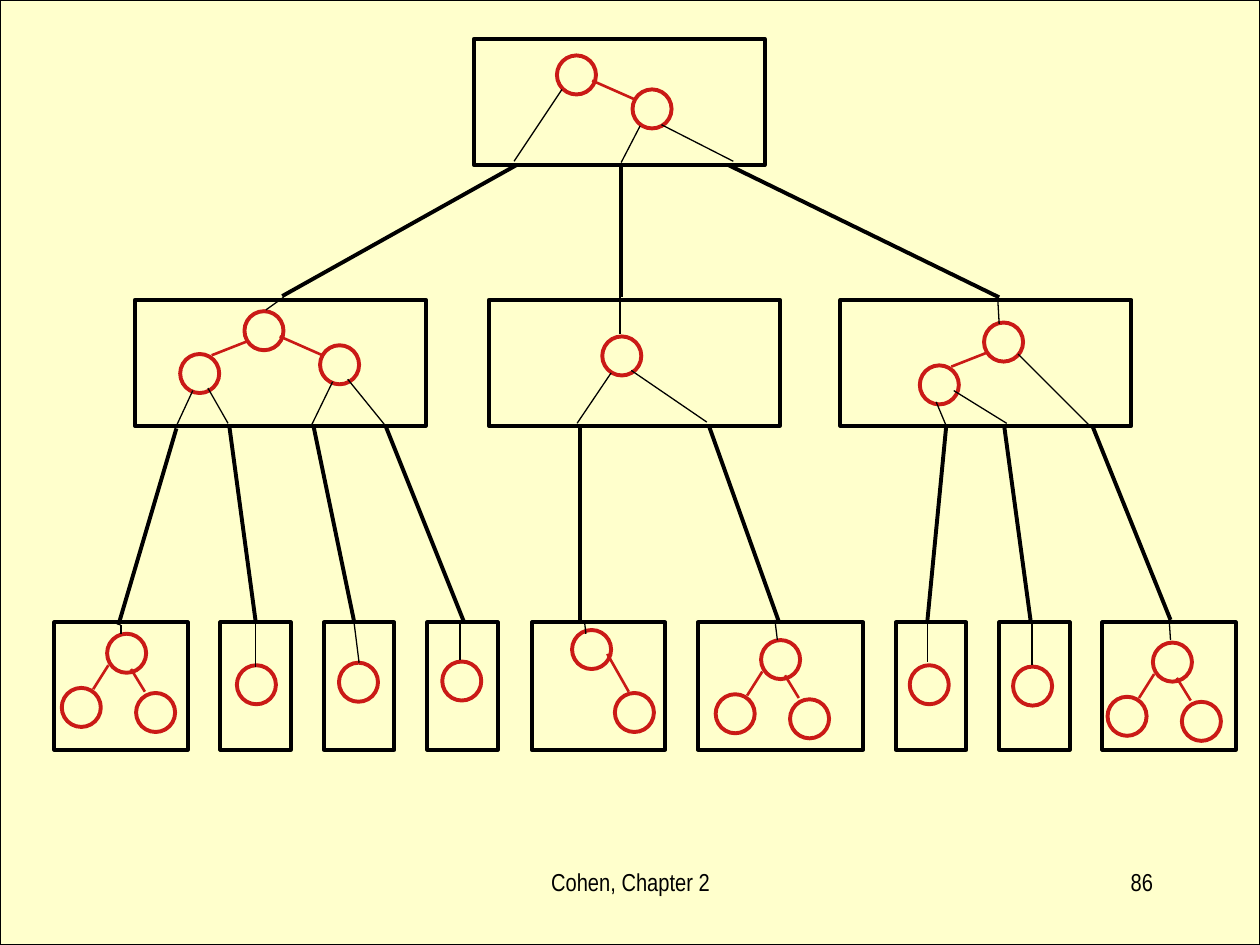
from lxml import etree
from pptx import Presentation
from pptx.dml.color import RGBColor
from pptx.enum.shapes import MSO_CONNECTOR, MSO_SHAPE
from pptx.enum.text import PP_ALIGN
from pptx.oxml.ns import qn
from pptx.util import Inches, Pt

RECT, OVAL = MSO_SHAPE.RECTANGLE, MSO_SHAPE.OVAL
STRAIGHT = MSO_CONNECTOR.STRAIGHT
CENTER, RIGHT = PP_ALIGN.CENTER, PP_ALIGN.RIGHT
BLACK, RED, CREAM = "000000", "CA1A16", "FFFFCC"
SIZE = 0.31

UPPER = [(3.76, 0.31), (1.07, 2.38), (3.88, 2.38), (6.67, 2.38)]
LOWER = [(0.43, 1.06), (1.75, 0.56), (2.57, 0.56), (3.39, 0.56), (4.22, 1.06),
         (5.54, 1.31), (7.11, 0.56), (7.93, 0.56), (8.75, 1.06)]

LINKS = [
    (4.1, 1.31, 2.24, 2.35), (4.93, 1.31, 4.93, 2.36), (5.78, 1.31, 7.93, 2.36),
    (1.4, 3.4, 0.94, 4.96), (1.82, 3.38, 2.03, 4.94), (2.49, 3.39, 2.81, 4.93),
    (3.06, 3.38, 3.68, 4.93), (4.6, 3.39, 4.6, 4.92), (5.63, 3.39, 6.18, 4.93),
    (7.51, 3.38, 7.36, 4.93), (7.97, 3.38, 8.18, 4.93), (8.67, 3.38, 9.29, 4.92),
]

STEMS = [
    (4.46, 0.71, 4.08, 1.28), (5.08, 1, 4.93, 1.29), (5.25, 0.99, 5.82, 1.28),
    (2.11, 2.46, 2.25, 2.36), (1.4, 3.38, 1.53, 3.1), (1.81, 3.36, 1.65, 3.08),
    (2.47, 3.38, 2.64, 3.03), (3.06, 3.38, 2.76, 3.01),
    (4.92, 2.36, 4.92, 2.65), (4.85, 2.96, 4.58, 3.36), (5.01, 2.94, 5.61, 3.35),
    (7.92, 2.39, 7.93, 2.57), (7.43, 3.19, 7.51, 3.38), (7.57, 3.1, 7.99, 3.36),
    (8.08, 2.81, 8.65, 3.38),
    (0.96, 4.96, 0.96, 5.03), (2.03, 4.92, 2.03, 5.29), (2.81, 4.94, 2.85, 5.26),
    (3.65, 4.94, 3.65, 5.24), (4.64, 4.94, 4.65, 5.03), (6.15, 4.92, 6.17, 5.08),
    (7.36, 4.94, 7.36, 5.25), (8.19, 4.93, 8.19, 5.28), (9.28, 4.93, 9.29, 5.08),
]

# Each branch: child offset, then edge start and end, all from the root node.
WIDE_L = (-0.51, 0.34, -0.26, 0.35, 0.02, 0.24)
WIDE_R = (0.6, 0.27, 0.28, 0.2, 0.62, 0.35)
NEAR_L = (-0.36, 0.43, -0.11, 0.44, 0.01, 0.25)
NEAR_R = (0.23, 0.47, 0.19, 0.28, 0.3, 0.46)
STEEP = (0.34, 0.5, 0.28, 0.19, 0.45, 0.49)

TREES = [
    (4.42, 0.44, [WIDE_R]), (1.94, 2.47, [WIDE_L, WIDE_R]),
    (4.78, 2.67, []), (7.81, 2.56, [WIDE_L]),
    (0.85, 5.03, [NEAR_L, NEAR_R]), (1.88, 5.28, []), (2.69, 5.26, []),
    (3.51, 5.25, []), (4.54, 5, [STEEP]), (6.04, 5.08, [NEAR_L, NEAR_R]),
    (7.22, 5.28, []), (8.04, 5.29, []), (9.15, 5.1, [NEAR_L, NEAR_R]),
]


def color(code):
    return RGBColor.from_string(code)


def stroke(item, code, width):
    item.line.color.rgb = color(code)
    item.line.width = Pt(width)


def shape(slide, kind, x, y, w, h, line=BLACK, width=2.25, fill=None):
    item = slide.shapes.add_shape(kind, Inches(x), Inches(y), Inches(w), Inches(h))
    item.shadow.inherit = False
    if fill:
        item.fill.solid()
        item.fill.fore_color.rgb = color(fill)
    else:
        item.fill.background()
    stroke(item, line, width)


def edge(slide, x1, y1, x2, y2, line=BLACK, width=0.75):
    item = slide.shapes.add_connector(
        STRAIGHT, Inches(x1), Inches(y1), Inches(x2), Inches(y2))
    stroke(item, line, width)
    etree.SubElement(item._element.spPr, qn("a:effectLst"))


def node(slide, x, y):
    shape(slide, OVAL, x, y, SIZE, SIZE, line=RED)


def tree(slide, x, y, kids):
    node(slide, x, y)
    for dx, dy, x1, y1, x2, y2 in kids:
        node(slide, x + dx, y + dy)
        edge(slide, x + x1, y + y1, x + x2, y + y2, line=RED, width=1.5)


def text(slide, words, x, y, w, h, align=CENTER, size=14, face="Arial Narrow", ink=BLACK):
    frame = slide.shapes.add_textbox(
        Inches(x), Inches(y), Inches(w), Inches(h)).text_frame
    frame.word_wrap = True
    para = frame.paragraphs[0]
    para.alignment = align
    run = para.add_run()
    run.text = words
    run.font.size = Pt(size)
    run.font.name = face
    run.font.color.rgb = color(ink)


def main():
    deck = Presentation()
    deck.slide_width, deck.slide_height = Inches(10), Inches(7.5)
    slide = deck.slides.add_slide(deck.slide_layouts[6])
    shape(slide, RECT, 0, 0, 10, 7.5, width=0.75, fill=CREAM)
    for x, y in UPPER:
        shape(slide, RECT, x, y, 2.31, 1)
    for x, w in LOWER:
        shape(slide, RECT, x, 4.94, w, 1.01)
    for ends in LINKS:
        edge(slide, *ends, width=2.25)
    for x, y, kids in TREES:
        tree(slide, x, y, kids)
    for ends in STEMS:
        edge(slide, *ends)
    text(slide, "Cohen, Chapter 2", 3.42, 6.83, 3.17, 0.5)
    text(slide, "86", 7.17, 6.83, 2.08, 0.5, align=RIGHT)
    deck.save("out.pptx")


if __name__ == "__main__":
    main()
